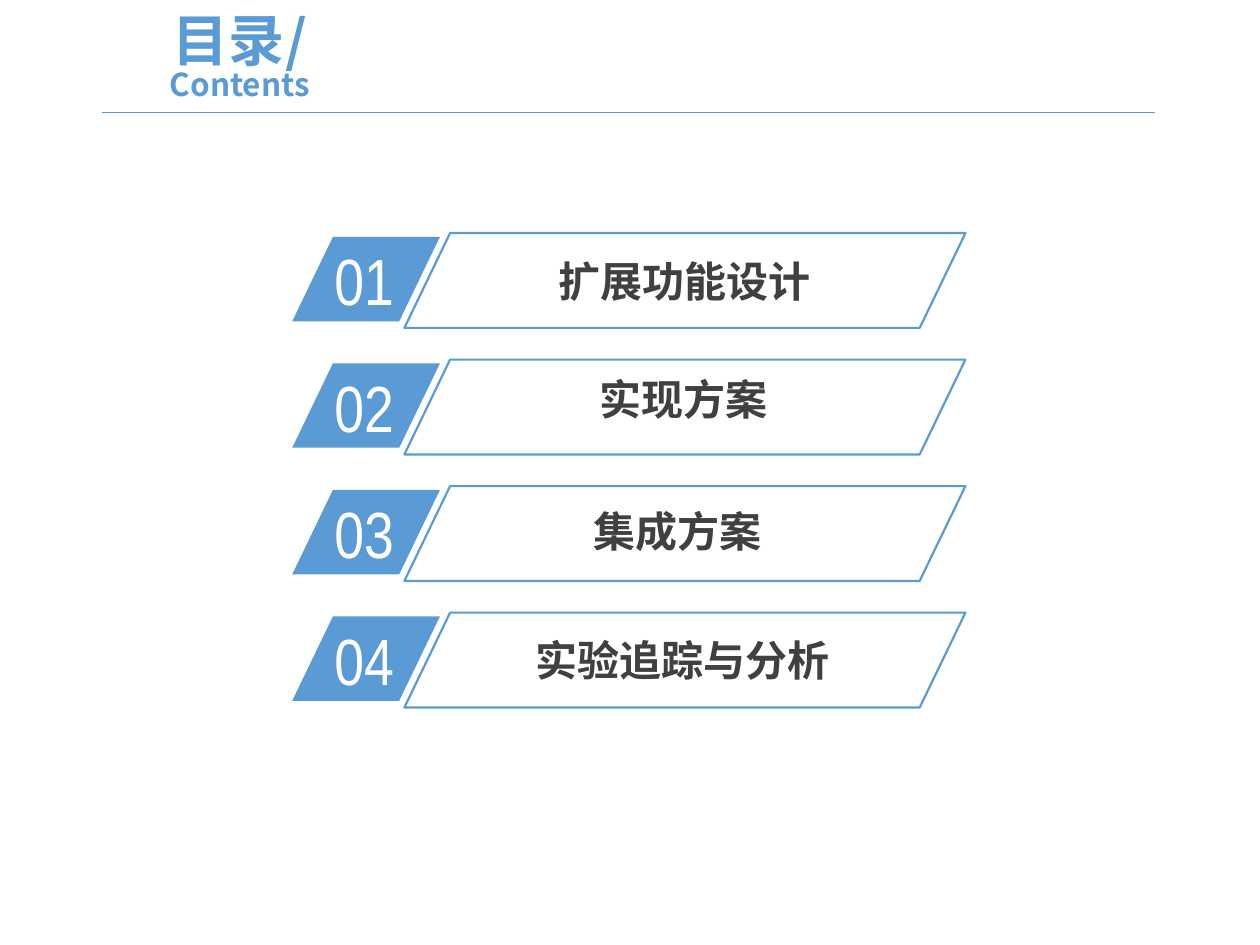
from lxml.etree import SubElement
from pptx import Presentation
from pptx.dml.color import RGBColor
from pptx.enum.shapes import MSO_CONNECTOR, MSO_SHAPE
from pptx.enum.text import MSO_ANCHOR, PP_ALIGN
from pptx.oxml.ns import qn
from pptx.util import Pt

BLUE, WHITE, DARK = "5B9BD5", "FFFFFF", "404040"
CJK_FONT, NUMBER_FONT = "Noto Sans CJK SC", "Arial Narrow"
FIRST_TOP, ROW_PITCH = 133.2, 72.3

# number, label, label left, label width, label offset from the row's top
ENTRIES = [
    ("01", "扩展功能设计", 311.8, 159, 9.4),
    ("02", "实现方案", 335.5, 112.3, 4.7),
    ("03", "集成方案", 331.9, 119.5, 7.3),
    ("04", "实验追踪与分析", 298.8, 185, 9.2),
]


def color(value):
    return RGBColor.from_string(value)


def add_run(paragraph, text, size, font_name, font_color, bold=False):
    run = paragraph.add_run()
    run.text = text
    run.font.size = Pt(size)
    run.font.name = font_name
    run.font.bold = bold
    run.font.color.rgb = color(font_color)
    east_asian = SubElement(run.font._element, qn("a:ea"))
    east_asian.set("typeface", font_name)


def add_text_box(shapes, left, top, width, height):
    box = shapes.add_textbox(Pt(left), Pt(top), Pt(width), Pt(height))
    box.text_frame.word_wrap = True
    return box.text_frame


def add_parallelogram(shapes, left, top, width, height, fill=None, line=None):
    shape = shapes.add_shape(
        MSO_SHAPE.PARALLELOGRAM, Pt(left), Pt(top), Pt(width), Pt(height))
    shape.adjustments[0] = 0.482
    shape.shadow.inherit = False
    if fill:
        shape.fill.solid()
        shape.fill.fore_color.rgb = color(fill)
    else:
        shape.fill.background()
    if line:
        shape.line.color.rgb = color(line)
        shape.line.width = Pt(1.25)
    else:
        shape.line.fill.background()


def add_heading(slide):
    frame = add_text_box(slide.shapes, 48.2, 15.1, 177.8, 38.9)
    frame.vertical_anchor = MSO_ANCHOR.MIDDLE
    paragraph = frame.paragraphs[0]
    paragraph.alignment = PP_ALIGN.CENTER
    paragraph.line_spacing = 0.8
    paragraph.space_before = Pt(6.4)
    add_run(paragraph, "目录/", 32, CJK_FONT, BLUE, bold=True)
    paragraph.add_line_break()
    add_run(paragraph, "Contents", 18, CJK_FONT, BLUE, bold=True)


def add_rule(slide):
    rule = slide.shapes.add_connector(
        MSO_CONNECTOR.STRAIGHT, Pt(58.3), Pt(64.1), Pt(660.3), Pt(64.1))
    rule.line.color.rgb = color(BLUE)
    rule.line.width = Pt(0.5)
    SubElement(rule._element.spPr, qn("a:effectLst"))


def add_entry(shapes, top, number, label, label_left, label_width, label_offset):
    add_parallelogram(shapes, 167, top + 2.2, 84.4, 48.2, fill=BLUE)
    number_frame = add_text_box(shapes, 184, top + 0.7, 80.6, 52.6)
    add_run(number_frame.paragraphs[0], number, 37.3, NUMBER_FONT, WHITE)
    label_frame = add_text_box(
        shapes, label_left, top + label_offset, label_width, 36)
    add_run(label_frame.paragraphs[0], label, 24, CJK_FONT, DARK, bold=True)
    add_parallelogram(shapes, 231.1, top, 320.6, 54.2, line=BLUE)


def main():
    presentation = Presentation()
    presentation.slide_width = Pt(720)
    presentation.slide_height = Pt(540)
    slide = presentation.slides.add_slide(presentation.slide_layouts[6])
    add_heading(slide)
    add_rule(slide)
    for row, entry in enumerate(ENTRIES):
        group = slide.shapes.add_group_shape()
        add_entry(group.shapes, FIRST_TOP + row * ROW_PITCH, *entry)
    presentation.save("out.pptx")


if __name__ == "__main__":
    main()
